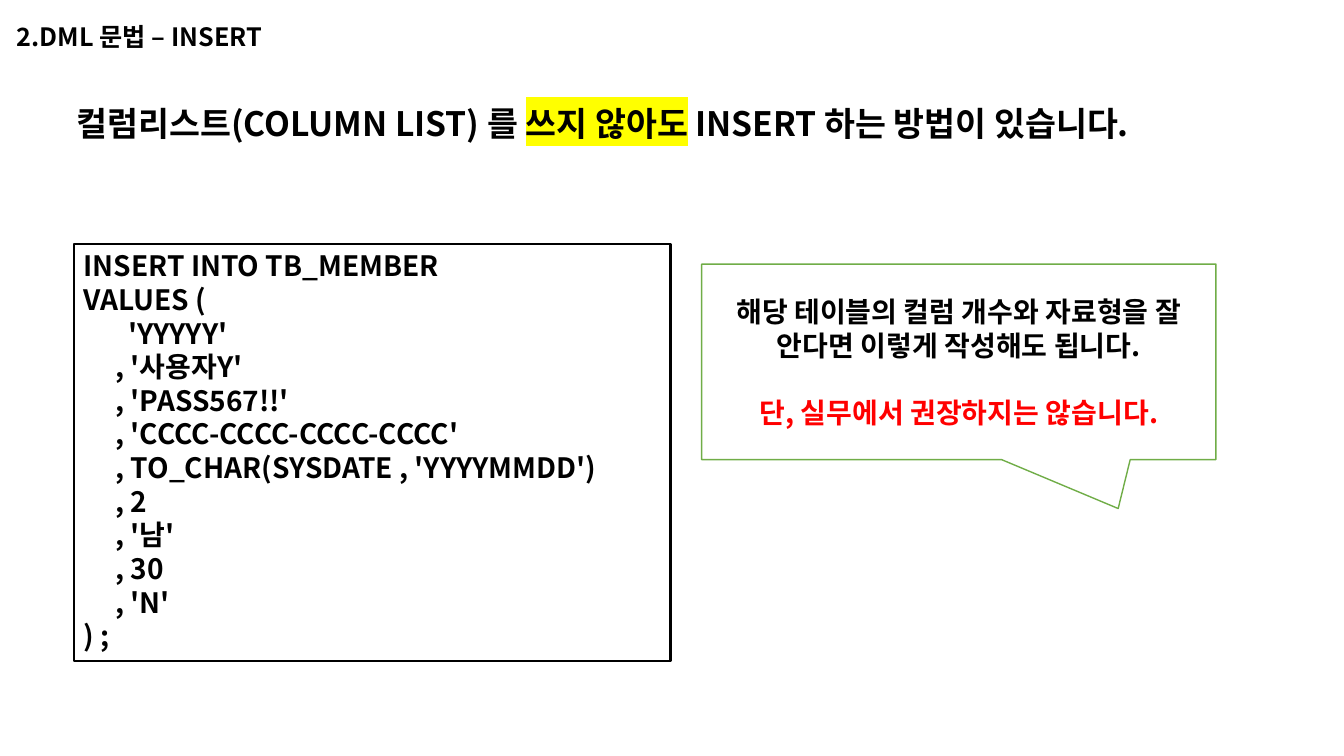
"""Build the slide on INSERT without a column list."""
from lxml.etree import SubElement
from pptx import Presentation
from pptx.dml.color import RGBColor
from pptx.enum.shapes import MSO_SHAPE as SHAPE
from pptx.enum.text import MSO_ANCHOR as ANCHOR, PP_ALIGN as ALIGN
from pptx.oxml.ns import qn
from pptx.util import Inches, Pt

FONT = "Noto Sans CJK KR"


def rgb(value):
    return RGBColor.from_string(value)


def write(sp, lines, size, align=ALIGN.LEFT, anchor=ANCHOR.TOP):
    tf = sp.text_frame
    tf.word_wrap = True
    tf.vertical_anchor = anchor
    for i, (runs, color) in enumerate(lines):
        p = tf.add_paragraph() if i else tf.paragraphs[0]
        p.alignment = align
        p.font.size = Pt(size)
        p.font.bold = True
        p.font.name = FONT
        p.font.color.rgb = rgb(color)
        SubElement(p.font._element, qn("a:ea"), typeface=FONT)
        for text in runs:
            p.add_run().text = text
    return tf.paragraphs


prs = Presentation()
prs.slide_width, prs.slide_height = Inches(13.33), Inches(7.5)
s = prs.slides.add_slide(prs.slide_layouts[6])

title = s.shapes.add_textbox(Inches(0.07), Inches(0.16), Inches(6.67), Inches(0.4))
write(title, [(["2.DML 문법 – INSERT"], "000000")], 18)

callout = s.shapes.add_shape(SHAPE.RECTANGULAR_CALLOUT, Inches(6.96), Inches(2.62), Inches(5.1), Inches(1.94))
callout.adjustments[0], callout.adjustments[1] = 0.31, 0.75
callout.fill.solid()
callout.fill.fore_color.rgb = rgb("FFFFFF")
advice = [
    (["해당 테이블의 컬럼 개수와 자료형을 잘 안다면 이렇게 작성해도 됩니다."], "000000"),
    (["단, 실무에서 권장하지는 않습니다."], "FF0000"),
]
write(callout, advice, 20, ALIGN.CENTER, ANCHOR.MIDDLE)[1].space_before = Pt(24)

code = s.shapes.add_shape(SHAPE.RECTANGLE, Inches(0.73), Inches(2.42), Inches(5.92), Inches(4.14))
code.fill.background()
sql = """INSERT INTO TB_MEMBER
VALUES (
       'YYYYY'
     , '사용자Y'
     , 'PASS567!!'
     , 'CCCC-CCCC-CCCC-CCCC'
     , TO_CHAR(SYSDATE , 'YYYYMMDD')
     , 2
     , '남'
     , 30
     , 'N'
) ;"""
write(code, [([line], "000000") for line in sql.splitlines()], 20)

for sp, color, width in [(callout, "70AD47", 1), (code, "000000", 1.5)]:
    sp.line.color.rgb = rgb(color)
    sp.line.width = Pt(width)
    sp.shadow.inherit = False

heading = s.shapes.add_textbox(Inches(0.66), Inches(0.97), Inches(12.01), Inches(0.5))
parts = ["컬럼리스트(COLUMN LIST) 를 ", "쓰지 않아도", " INSERT 하는 방법이 있습니다."]
p = write(heading, [(parts, "000000")], 24)[0]
highlight = SubElement(p.runs[1].font._element, qn("a:highlight"))
SubElement(highlight, qn("a:srgbClr"), val="FFFF00")

prs.save("out.pptx")
